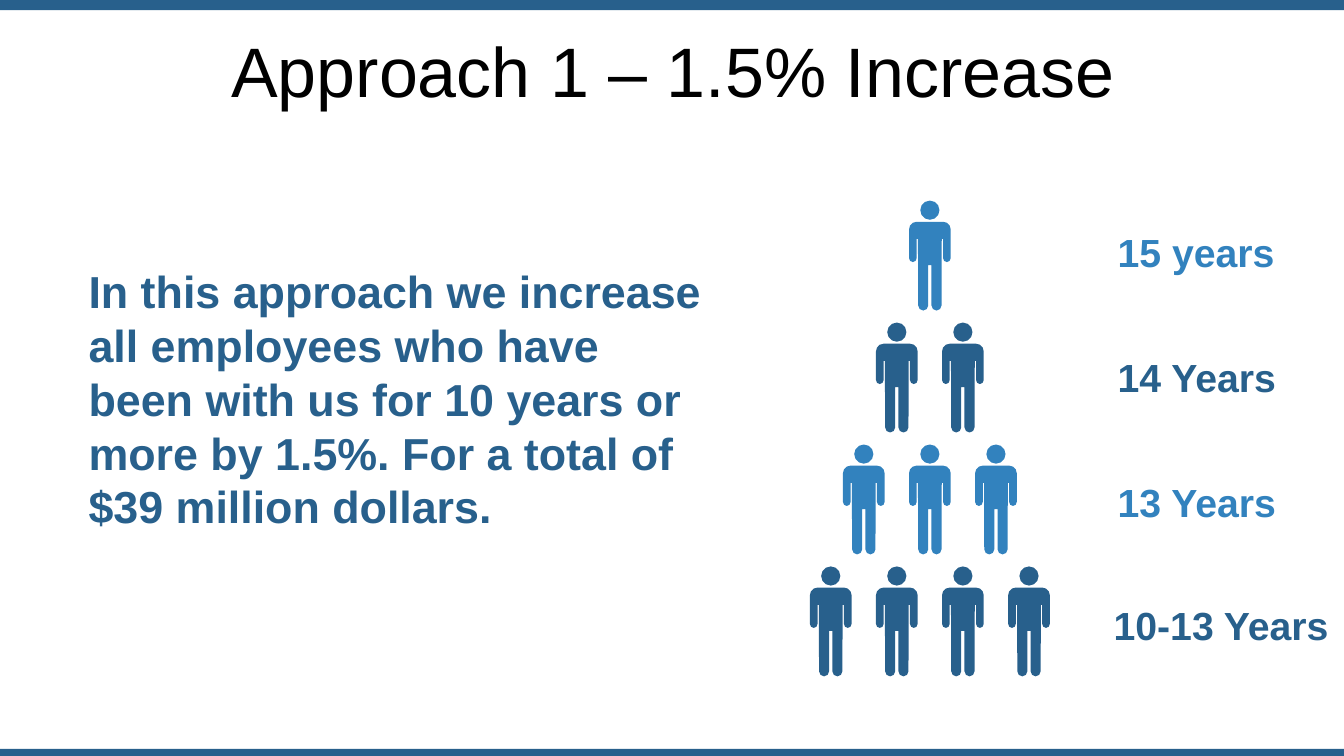
from math import cos, radians, sin

from pptx import Presentation
from pptx.dml.color import RGBColor
from pptx.enum.shapes import MSO_SHAPE
from pptx.enum.text import MSO_ANCHOR, PP_ALIGN
from pptx.util import Pt

DARK = RGBColor(0x28, 0x60, 0x8C)
LIGHT = RGBColor(0x32, 0x82, 0xBE)
BLACK = RGBColor(0, 0, 0)
FONT = "Arial"

TITLE = "Approach 1 – 1.5% Increase"
SUMMARY = (
    "In this approach we increase all employees who have been "
    "with us for 10 years or more by 1.5%. For a total of "
    "$39 million dollars."
)
TIERS = [
    ("15 years", LIGHT, (791.3, 159.8, 139, 41)),
    ("14 Years", DARK, (791.3, 249.1, 136, 41)),
    ("13 Years", LIGHT, (791.3, 338.4, 136, 41)),
    ("10-13 Years", DARK, (788.4, 426.2, 171.4, 41)),
]
BANDS = [(0, 7.2), (535, 5)]

WIDTH, HEIGHT = 960, 540
PYRAMID_CENTRE, PYRAMID_TOP = 664.2, 143.3
PERSON_PITCH, TIER_PITCH = 47.2, 87.1
HEAD_RADIUS = 6.85


def arc(cx, cy, rx, ry, start, end, steps):
    angles = [radians(start + (end - start) * i / steps) for i in range(steps + 1)]
    return [(cx + rx * cos(a), cy + ry * sin(a)) for a in angles]


RIGHT_HALF = [
    *arc(9.4, 20.6, 5.5, 5.5, -90, 0, 3),
    *arc(12.15, 41, 2.75, 2.9, 0, 180, 4),
    (9.4, 27.4),
    (8.5, 27.4),
    *arc(4.75, 74.9, 3.6, 3.6, 0, 180, 4),
    (1.15, 46.1),
]
BODY = RIGHT_HALF + [(-x, y) for x, y in reversed(RIGHT_HALF)]

deck = Presentation()
deck.slide_width, deck.slide_height = Pt(WIDTH), Pt(HEIGHT)
slide = deck.slides.add_slide(deck.slide_layouts[6])


def paint(shape, color):
    shape.shadow.inherit = False
    shape.fill.solid()
    shape.fill.fore_color.rgb = color
    shape.line.fill.background()


def add_preset(preset, box, color):
    paint(slide.shapes.add_shape(preset, *map(Pt, box)), color)


def add_person(centre, top, color):
    body = [(Pt(centre + x), Pt(top + y)) for x, y in BODY]
    outline = slide.shapes.build_freeform(*body[0])
    outline.add_line_segments(body[1:])
    paint(outline.convert_to_shape(), color)
    head_box = (centre - HEAD_RADIUS, top, 2 * HEAD_RADIUS, 2 * HEAD_RADIUS)
    add_preset(MSO_SHAPE.OVAL, head_box, color)


def add_text(text, box, size, color, bold=True, wrap=True):
    frame = slide.shapes.add_textbox(*map(Pt, box)).text_frame
    frame.word_wrap = wrap
    frame.text = text
    font = frame.paragraphs[0].runs[0].font
    font.name, font.size, font.bold = FONT, Pt(size), bold
    font.color.rgb = color
    return frame


for top, height in BANDS:
    add_preset(MSO_SHAPE.RECTANGLE, (0, top, WIDTH, height), DARK)

title = add_text(TITLE, (25.2, 26.6, 911.5, 56.9), 50, BLACK, bold=False)
title.vertical_anchor = MSO_ANCHOR.MIDDLE
title.paragraphs[0].alignment = PP_ALIGN.CENTER
title.paragraphs[0].line_spacing = 0.8
title.paragraphs[0].space_before = Pt(10)

for tier, (years, color, label_box) in enumerate(TIERS):
    for person in range(tier + 1):
        centre = PYRAMID_CENTRE + (person - tier / 2) * PERSON_PITCH
        add_person(centre, PYRAMID_TOP + tier * TIER_PITCH, color)
    add_text(years, label_box, 28, color, wrap=False)

add_text(SUMMARY, (56.2, 185, 456.5, 200.9), 32, DARK)

deck.save("out.pptx")
